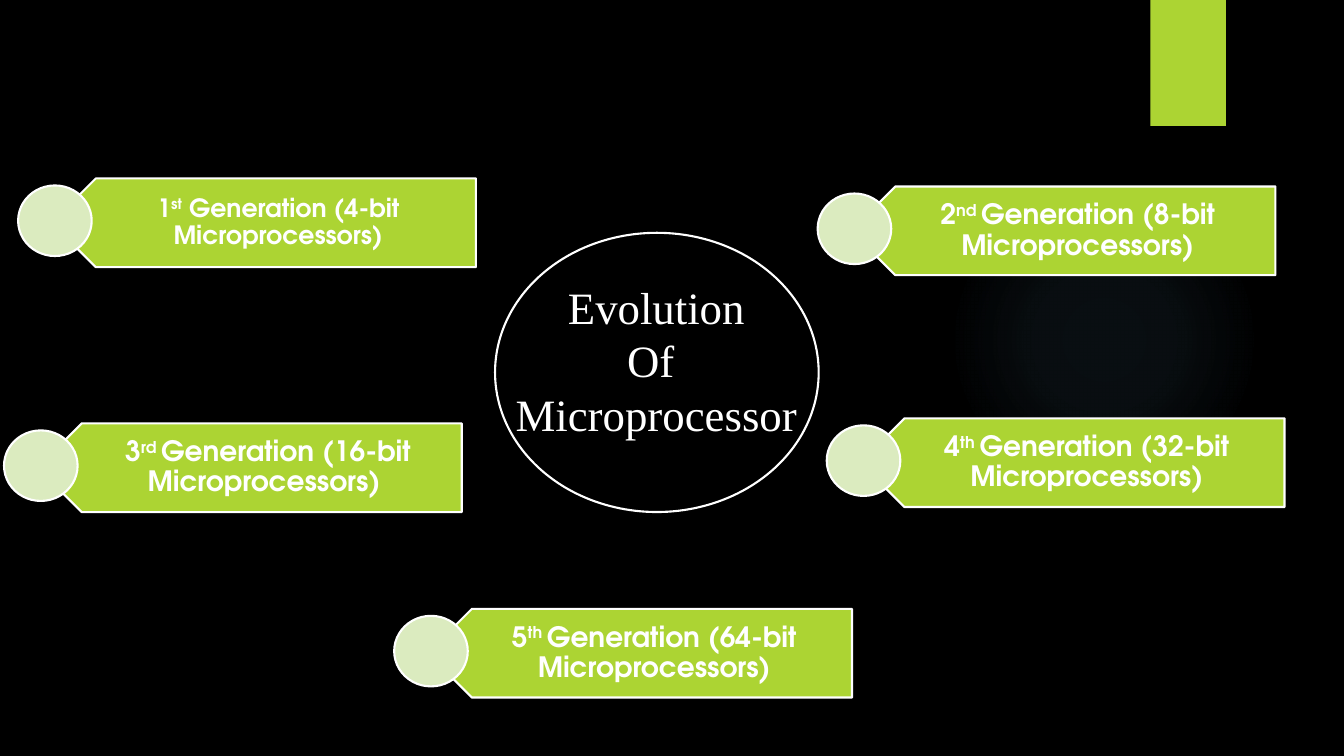
from dataclasses import dataclass

from lxml import etree
from pptx import Presentation
from pptx.dml.color import RGBColor
from pptx.enum import shapes, text
from pptx.oxml import ns
from pptx.util import Inches, Pt


@dataclass(frozen=True)
class Theme:
    background: str = "000000"
    accent: str = "ACD433"
    pale: str = "DBEBBF"
    glow: str = "7AC4F0"
    white: str = "FFFFFF"
    title_font: str = "Times New Roman"
    label_font: str = "TeX Gyre Adventor"
    title_size: int = 32
    label_size: int = 20
    small_label_size: int = 18
    outline: float = 1.5


THEME = Theme()
SHAPE = shapes.MSO_SHAPE

# Left and top of each tag, its label (^ encloses superscript) and type size
GENERATIONS = [
    (0.51, 1.77, "1^st^ Generation (4-bit Microprocessors)", THEME.small_label_size),
    (4.24, 6.04, "5^th ^Generation (64-bit Microprocessors)", THEME.label_size),
    (0.37, 4.2, " 3^rd ^Generation (16-bit Microprocessors)", THEME.label_size),
    (8.44, 1.85, "2^nd ^Generation (8-bit Microprocessors)", THEME.label_size),
    (8.53, 4.15, "4^th ^Generation (32-bit Microprocessors)", THEME.label_size),
]
TAG_WIDTH, TAG_HEIGHT = 4.21, 0.88
LABEL_INDENT = 0.14
DOT_WIDTH, DOT_HEIGHT = 0.73, 0.7
DOT_SHIFT_X, DOT_SHIFT_Y = -0.33, 0.07


def write(frame, content, *, font, size, bold=False, spacing=1.0,
          anchor=text.MSO_ANCHOR.TOP, margins=(0.1, 0.05, 0.1, 0.05)):
    """Fill a frame with one centred paragraph per line of content."""
    frame.word_wrap = True
    frame.vertical_anchor = anchor
    (frame.margin_left, frame.margin_top,
     frame.margin_right, frame.margin_bottom) = map(Inches, margins)
    for index, line in enumerate(content.split("\n")):
        paragraph = frame.add_paragraph() if index else frame.paragraphs[0]
        paragraph.alignment = text.PP_ALIGN.CENTER
        paragraph.line_spacing = spacing
        for part, wording in enumerate(line.split("^")):
            run = paragraph.add_run()
            run.text = wording
            run.font.name, run.font.size, run.font.bold = font, Pt(size), bold
            run.font.color.rgb = RGBColor.from_string(THEME.white)
            if part % 2:
                run.font._element.set("baseline", "30000")


def draw(parent, kind, left, top, width, height, fill=None, outlined=True):
    shape = parent.add_shape(kind, *map(Inches, (left, top, width, height)))
    shape.shadow.inherit = False
    if fill:
        shape.fill.solid()
        shape.fill.fore_color.rgb = RGBColor.from_string(fill)
    else:
        shape.fill.background()
    if outlined:
        shape.line.color.rgb = RGBColor.from_string(THEME.white)
        shape.line.width = Pt(THEME.outline)
    else:
        shape.line.fill.background()
    return shape


def add_glow(slide):
    glow = draw(slide.shapes, SHAPE.OVAL, 9.41, 1.83, 3.08, 3.08, outlined=False)
    stops = "".join(
        f'<a:gs pos="{position * 1000}"><a:srgbClr val="{THEME.glow}">'
        f'<a:alpha val="{alpha * 1000}"/></a:srgbClr></a:gs>'
        for position, alpha in ((0, 7), (36, 6), (69, 0)))
    gradient = etree.fromstring(
        f'<a:gradFill {ns.nsdecls("a")}><a:gsLst>{stops}</a:gsLst><a:path path="circle">'
        '<a:fillToRect l="50000" t="50000" r="50000" b="50000"/></a:path></a:gradFill>')
    properties = glow._element.spPr
    properties.replace(properties.find(ns.qn("a:noFill")), gradient)


def add_title(slide):
    title = slide.shapes.title
    title.left, title.top, title.width, title.height = map(
        Inches, (4.74, 2.72, 3.54, 1.72))
    write(title.text_frame, "Evolution\nOf \nMicroprocessor",
          font=THEME.title_font, size=THEME.title_size)
    title.text_frame.auto_size = text.MSO_AUTO_SIZE.SHAPE_TO_FIT_TEXT


def add_generation(slide, left, top, wording, size):
    # Tag pointing left, grouped with its upright label
    group = slide.shapes.add_group_shape().shapes
    tag = draw(group, SHAPE.PENTAGON, left, top, TAG_WIDTH, TAG_HEIGHT, THEME.accent)
    tag.rotation = 180
    label = group.add_textbox(Inches(left + LABEL_INDENT), Inches(top),
                              Inches(TAG_WIDTH - LABEL_INDENT), Inches(TAG_HEIGHT))
    write(label.text_frame, wording, font=THEME.label_font, size=size, bold=True,
          spacing=0.9, anchor=text.MSO_ANCHOR.MIDDLE, margins=(0.27, 0.06, 0.12, 0.06))
    # Dot over the tip
    draw(slide.shapes, SHAPE.OVAL, left + DOT_SHIFT_X, top + DOT_SHIFT_Y,
         DOT_WIDTH, DOT_HEIGHT, THEME.pale)


def main():
    deck = Presentation()
    deck.slide_width, deck.slide_height = Inches(13.33), Inches(7.5)
    slide = deck.slides.add_slide(deck.slide_layouts[5])

    # Backdrop
    slide.background.fill.solid()
    slide.background.fill.fore_color.rgb = RGBColor.from_string(THEME.background)
    add_glow(slide)
    draw(slide.shapes, SHAPE.RECTANGLE, 11.41, 0, 0.75, 1.25, THEME.accent, outlined=False)

    # Generations around the central topic
    add_title(slide)
    for generation in GENERATIONS:
        add_generation(slide, *generation)
    draw(slide.shapes, SHAPE.OVAL, 4.91, 2.31, 3.21, 2.77)

    deck.save("out.pptx")


if __name__ == "__main__":
    main()
